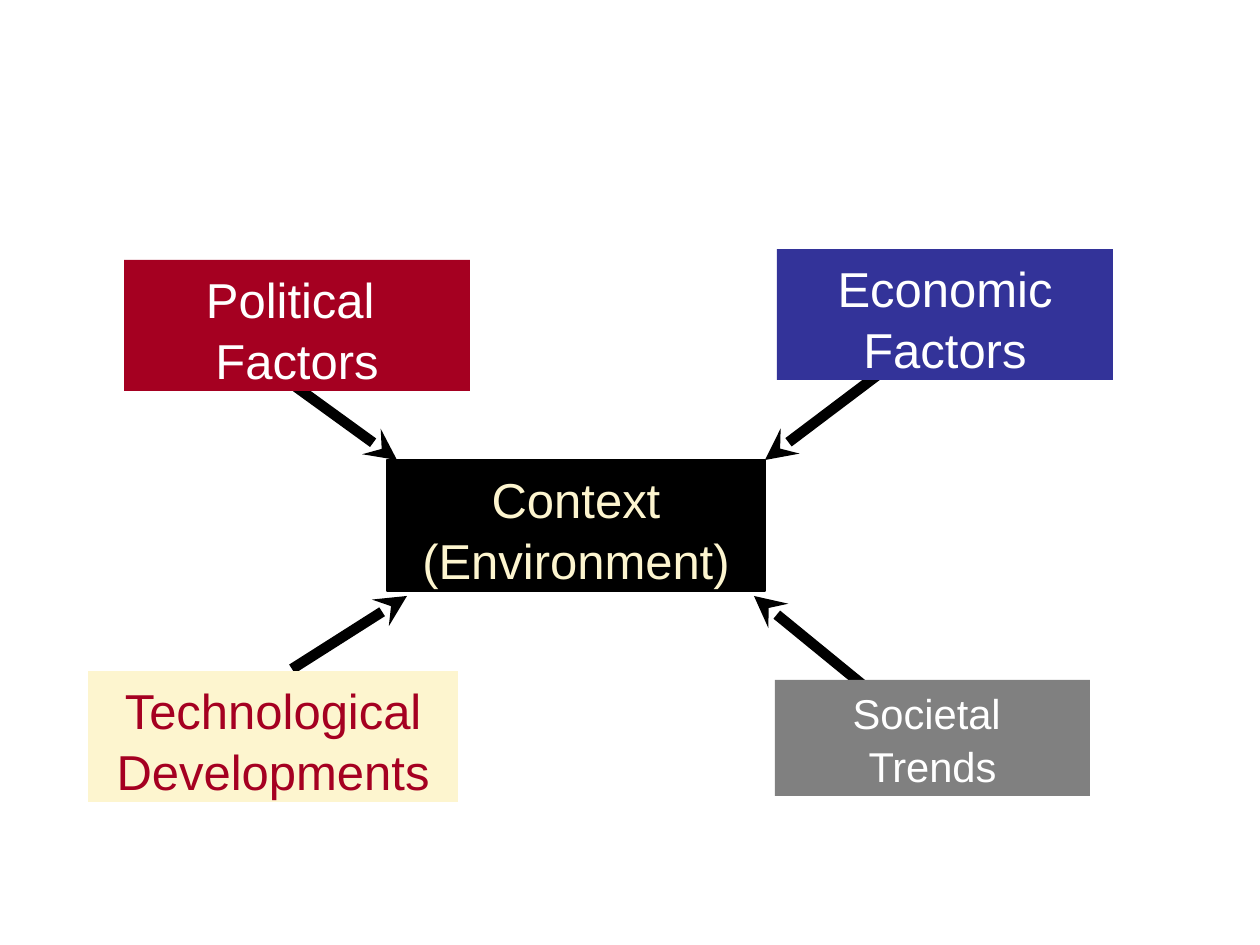
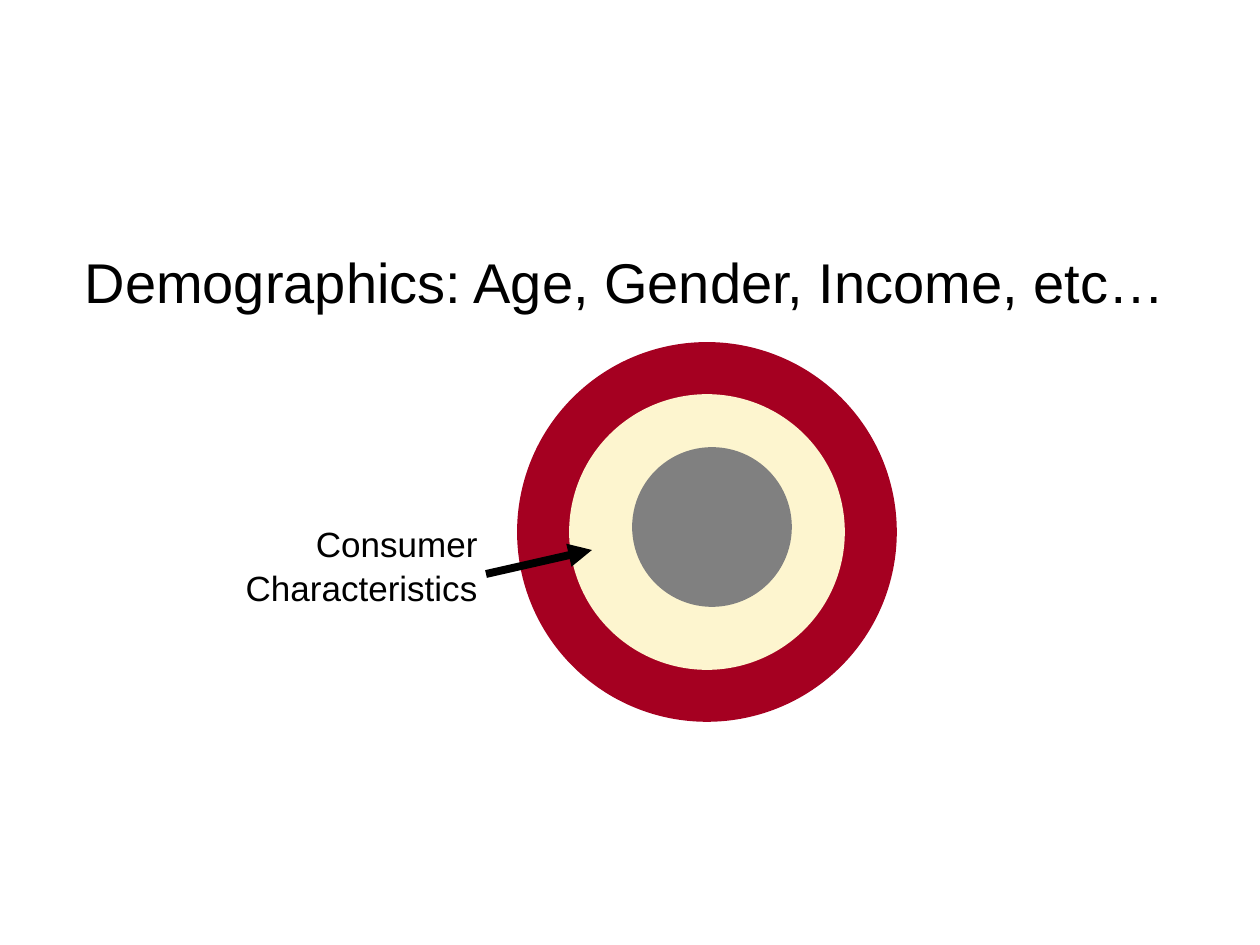
from lxml.etree import SubElement
from pptx import Presentation
from pptx.dml.color import RGBColor
from pptx.enum.shapes import MSO_CONNECTOR, MSO_SHAPE
from pptx.enum.text import MSO_ANCHOR, MSO_AUTO_SIZE, PP_ALIGN
from pptx.oxml.ns import qn
from pptx.util import Pt

SCALE = 914400 / 126
COLORS = {
    "black": "000000",
    "white": "FFFFFF",
    "red": "A50021",
    "cream": "FDF5CF",
    "blue": "333399",
    "gray": "808080",
}
FONT = "Arial"
TITLE_ONLY, BLANK = 5, 6

CONTEXT = (["Context", "(Environment)"], (387, 460, 378, 131), "black", "cream", 28)
FACTORS = [
    (["Economic Factors"], (777, 249, 336, 131), "blue", "white", 28),
    (["Political ", "Factors"], (124, 260, 346, 131), "red", "white", 28),
    (["Technological Developments"], (88, 671, 370, 131), "cream", "red", 28),
    (["Societal ", "Trends"], (775, 680, 315, 116), "gray", "white", 23.8),
]
INFLUENCES = [
    ((281, 376), (397, 460)),
    ((292, 669), (407, 596)),
    ((891, 365), (765, 460)),
    ((869, 690), (754, 596)),
]

DEMOGRAPHICS = ["Demographics: Age, Gender, Income, etc…"]
DEMOGRAPHICS_BOX = (72, 241, 1118, 77)
RINGS = [((707, 532), 378, "red"), ((707, 532), 274, "cream"), ((712, 527), 158, "gray")]
CONSUMER = ["Consumer", "Characteristics"]
CONSUMER_BOX = (233, 514, 257, 96)
CONSUMER_ARROW = ((486, 574), (592, 550))

FRAME = {
    "auto_size": MSO_AUTO_SIZE.NONE,
    "margin_left": Pt(7.2),
    "margin_right": Pt(7.2),
    "margin_top": Pt(3.6),
    "margin_bottom": Pt(3.6),
}


def px(values):
    return [round(value * SCALE) for value in values]


def rgb(color):
    return RGBColor.from_string(COLORS[color])


def apply(target, values):
    for attribute, value in values.items():
        setattr(target, attribute, value)


def write(holder, lines, size, color, align, spacing=1.05, wrap=True, anchor=MSO_ANCHOR.TOP):
    frame = holder.text_frame
    frame.text = "\n".join(lines)
    apply(frame, {**FRAME, "word_wrap": wrap, "vertical_anchor": anchor})
    for paragraph in frame.paragraphs:
        apply(paragraph, {"alignment": align, "line_spacing": spacing})
        for run in paragraph.runs:
            apply(run.font, {"name": FONT, "size": Pt(size)})
            run.font.color.rgb = rgb(color)


def add_figure(slide, preset, box, fill, outlined):
    figure = slide.shapes.add_shape(preset, *px(box))
    figure.shadow.inherit = False
    figure.fill.solid()
    figure.fill.fore_color.rgb = rgb(fill)
    if outlined:
        figure.line.color.rgb = rgb(fill)
        figure.line.width = Pt(1)
    else:
        figure.line.fill.background()
    return figure


def add_factor(slide, factor, outlined=False):
    lines, box, fill, color, size = factor
    rectangle = add_figure(slide, MSO_SHAPE.RECTANGLE, box, fill, outlined)
    anchor = MSO_ANCHOR.TOP if size == 28 else MSO_ANCHOR.MIDDLE
    write(rectangle, lines, size, color, PP_ALIGN.CENTER, anchor=anchor)


def add_arrow(slide, start, end, width, head):
    arrow = slide.shapes.add_connector(MSO_CONNECTOR.STRAIGHT, *px(start + end))
    arrow.line.color.rgb = rgb("black")
    arrow.line.width = Pt(width)
    properties = arrow._element.spPr
    SubElement(properties.find(qn("a:ln")), qn("a:tailEnd"), type=head)
    SubElement(properties, qn("a:effectLst"))


def build_context(deck):
    slide = deck.slides.add_slide(deck.slide_layouts[BLANK])
    add_factor(slide, CONTEXT, outlined=True)
    for start, end in INFLUENCES:
        add_arrow(slide, start, end, 6, "stealth")
    for factor in FACTORS:
        add_factor(slide, factor)


def build_consumer(deck):
    slide = deck.slides.add_slide(deck.slide_layouts[TITLE_ONLY])
    title = slide.shapes.title
    apply(title, dict(zip(("left", "top", "width", "height"), px(DEMOGRAPHICS_BOX))))
    write(title, DEMOGRAPHICS, 32, "black", PP_ALIGN.LEFT, spacing=1.0, wrap=False)
    consumer = slide.shapes.add_textbox(*px(CONSUMER_BOX))
    write(consumer, CONSUMER, 20, "black", PP_ALIGN.RIGHT, wrap=False)
    for (x, y), diameter, fill in RINGS:
        box = (x - diameter / 2, y - diameter / 2, diameter, diameter)
        add_figure(slide, MSO_SHAPE.OVAL, box, fill, True)
    add_arrow(slide, *CONSUMER_ARROW, 4.5, "triangle")


def main():
    deck = Presentation()
    deck.slide_width, deck.slide_height = px((1260, 945))
    build_context(deck)
    build_consumer(deck)
    deck.save("out.pptx")


if __name__ == "__main__":
    main()
